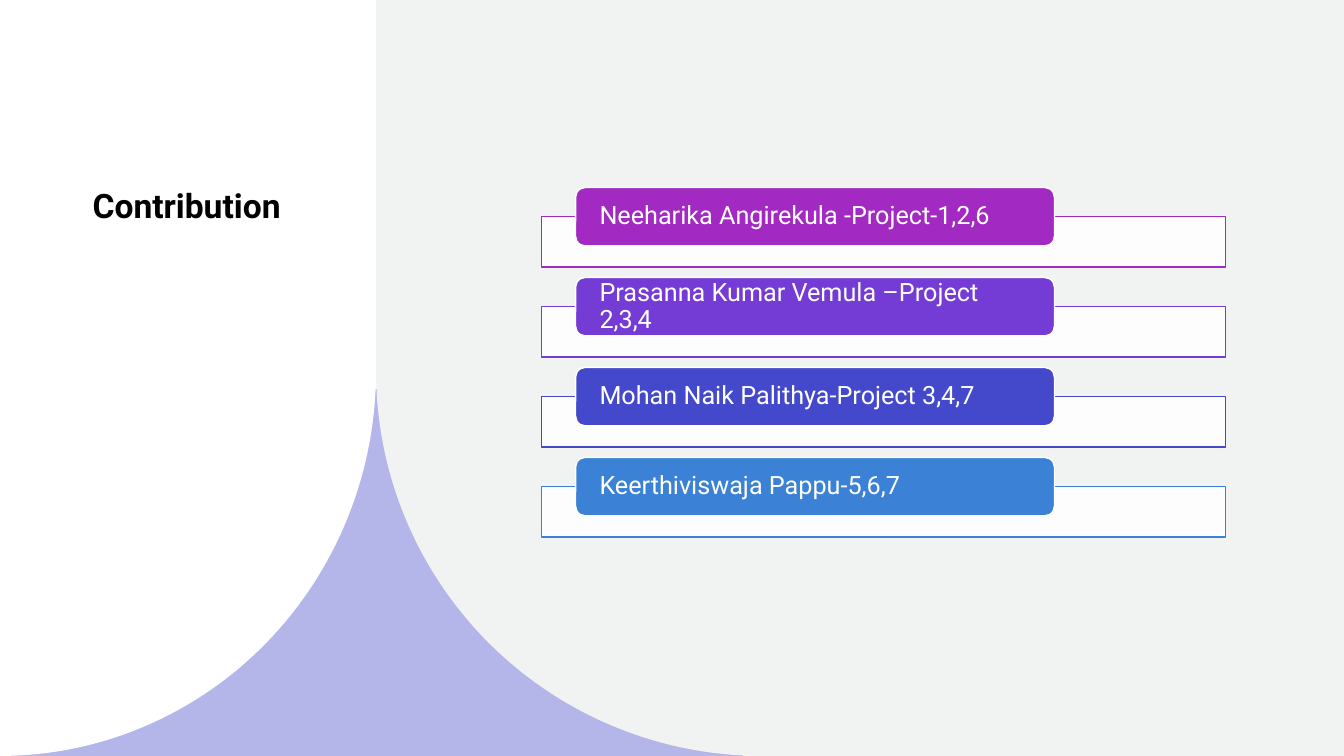
from dataclasses import dataclass
from math import cos, pi, sin

from lxml.etree import SubElement
from pptx import Presentation
from pptx.dml.color import RGBColor
from pptx.enum.shapes import MSO_SHAPE as Shape
from pptx.enum.text import MSO_ANCHOR as Anchor, PP_ALIGN as Align
from pptx.oxml.ns import qn
from pptx.shapes.autoshape import Shape as AutoShape
from pptx.shapes.shapetree import SlideShapes
from pptx.util import Inches, Pt

WIDTH, HEIGHT = Inches(13.33), Inches(7.5)
ARC_STEPS = 60


@dataclass(frozen=True)
class Theme:
    font: str = "Roboto"
    title_size: int = 24
    label_size: int = 18
    line_width: int = 1
    black: str = "000000"
    white: str = "FFFFFF"
    lilac: str = "B4B6EA"
    mist: str = "F0F3F1"
    frame_alpha: int = 90


@dataclass(frozen=True)
class Box:
    left: float
    top: float
    width: float
    height: float

    def down(self, rows: float) -> "Box":
        return Box(self.left, self.top + rows, self.width, self.height)

    def emu(self) -> tuple[int, int, int, int]:
        return col(self.left), row(self.top), col(self.width), row(self.height)


@dataclass(frozen=True)
class Contribution:
    text: str
    color: str


THEME = Theme()
TITLE = Box(6.15, 23.33, 19.73, 36.4)
LILAC_BAND = Box(0, 51.47, 55.28, 48.53)
FRAME = Box(40.28, 28.67, 50.93, 6.67)
LABEL = Box(42.83, 24.8, 35.63, 7.73)
LABEL_INSET = 1.57
PITCH = 11.9
DIVIDER = 27.98
BEND = 49.1
RIGHT_RADIUS = 28.72
CONTRIBUTIONS = [
    Contribution("Neeharika Angirekula -Project-1,2,6", "A329C3"),
    Contribution("Prasanna Kumar Vemula –Project 2,3,4", "753BD5"),
    Contribution("Mohan Naik Palithya-Project 3,4,7", "4349CA"),
    Contribution("Keerthiviswaja Pappu-5,6,7", "3B81D5"),
]


def col(share: float) -> int:
    return round(WIDTH * share / 100)


def row(share: float) -> int:
    return round(HEIGHT * share / 100)


def paint(sp: AutoShape, fill: str, line: str | None = None,
          alpha: int | None = None) -> None:
    sp.shadow.inherit = False
    sp.fill.solid()
    sp.fill.fore_color.rgb = RGBColor.from_string(fill)
    if alpha is not None:
        color = sp.fill._xPr.find(qn("a:solidFill"))[0]
        SubElement(color, qn("a:alpha")).set("val", str(alpha * 1000))
    if line is None:
        sp.line.fill.background()
    else:
        sp.line.color.rgb = RGBColor.from_string(line)
        sp.line.width = Pt(THEME.line_width)


def write(sp: AutoShape, text: str, *, size: int, color: str,
          bold: bool = False, spacing: float = 1.0,
          anchor: Anchor = Anchor.TOP) -> None:
    tf = sp.text_frame
    tf.word_wrap = True
    tf.vertical_anchor = anchor
    p = tf.paragraphs[0]
    p.alignment = Align.LEFT
    p.line_spacing = spacing
    r = p.add_run()
    r.text = text
    r.font.name = THEME.font
    r.font.size = Pt(size)
    r.font.bold = bold
    r.font.color.rgb = RGBColor.from_string(color)


def add_panel(shapes: SlideShapes, edge: float, center: float,
              radius: float, fill: str) -> None:
    angles = [pi / 2 * i / ARC_STEPS for i in range(ARC_STEPS + 1)]
    arc = [(col(center + radius * cos(a)), row(BEND + (100 - BEND) * sin(a)))
           for a in angles]
    points = arc + [(col(edge), row(100)), (col(edge), 0)]
    fb = shapes.build_freeform(col(DIVIDER), 0)
    fb.add_line_segments(points, close=True)
    paint(fb.convert_to_shape(), fill)


def add_contribution(shapes: SlideShapes, item: Contribution, offset: float) -> None:
    frame = shapes.add_shape(Shape.RECTANGLE, *FRAME.down(offset).emu())
    paint(frame, THEME.white, item.color, THEME.frame_alpha)
    label = shapes.add_shape(Shape.ROUNDED_RECTANGLE, *LABEL.down(offset).emu())
    paint(label, item.color, THEME.white)
    tf = label.text_frame
    tf.margin_left = tf.margin_right = col(LABEL_INSET)
    tf.margin_top = tf.margin_bottom = 0
    write(label, item.text, size=THEME.label_size, color=THEME.white,
          spacing=0.9, anchor=Anchor.MIDDLE)


def main() -> None:
    prs = Presentation()
    prs.slide_width, prs.slide_height = WIDTH, HEIGHT
    s = prs.slides.add_slide(prs.slide_layouts[6])
    s.background.fill.solid()
    s.background.fill.fore_color.rgb = RGBColor.from_string(THEME.white)

    paint(s.shapes.add_shape(Shape.RECTANGLE, *LILAC_BAND.emu()), THEME.lilac)
    add_panel(s.shapes, 0, 0, DIVIDER, THEME.white)
    write(s.shapes.add_textbox(*TITLE.emu()), "Contribution",
          size=THEME.title_size, color=THEME.black, bold=True, spacing=1.1)
    add_panel(s.shapes, 100, DIVIDER + RIGHT_RADIUS, -RIGHT_RADIUS, THEME.mist)
    for i, item in enumerate(CONTRIBUTIONS):
        add_contribution(s.shapes, item, i * PITCH)
    prs.save("out.pptx")


if __name__ == "__main__":
    main()
